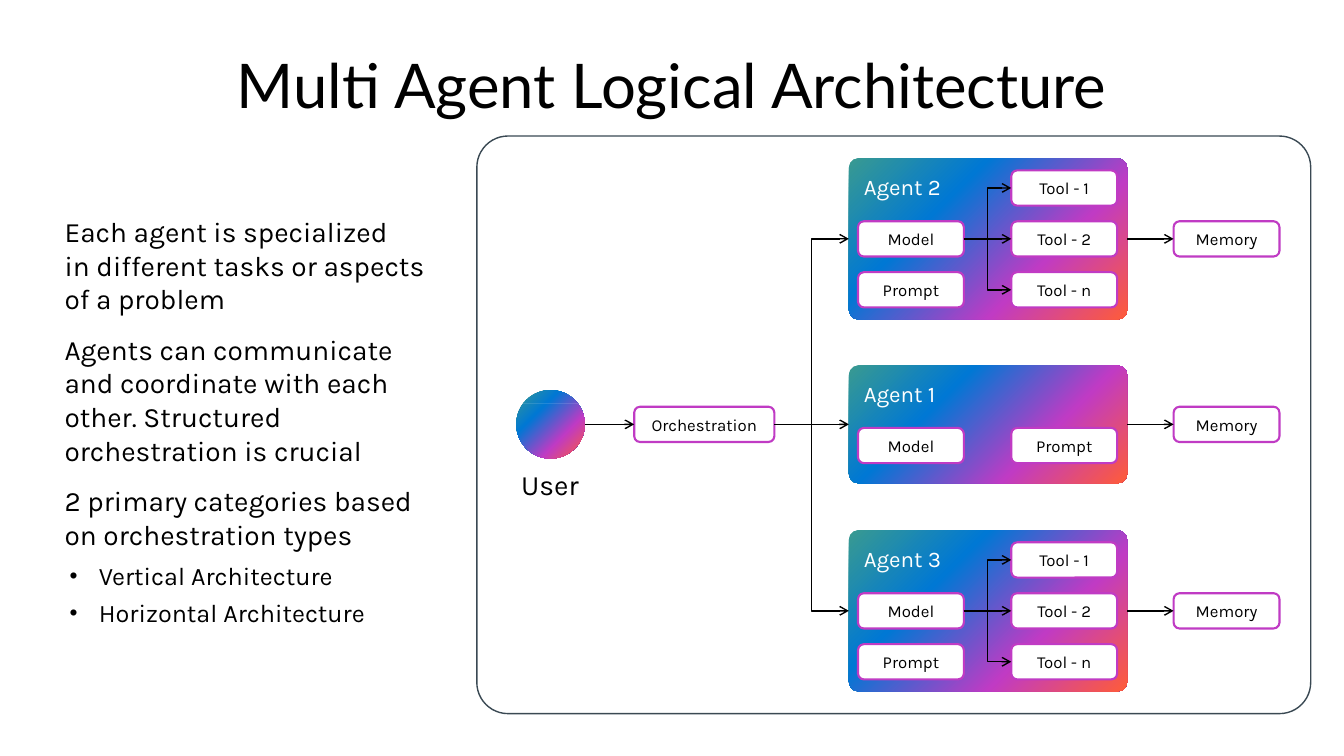
import math

import pptx
import pptx.dml.color
import pptx.enum.shapes
import pptx.enum.text
import pptx.oxml
import pptx.oxml.ns
import pptx.util

Inches, Pt = pptx.util.Inches, pptx.util.Pt
RGBColor = pptx.dml.color.RGBColor
SHAPE = pptx.enum.shapes.MSO_SHAPE
CONNECTOR = pptx.enum.shapes.MSO_CONNECTOR
ALIGN = pptx.enum.text.PP_ALIGN
ANCHOR = pptx.enum.text.MSO_ANCHOR
NS = pptx.oxml.ns.nsdecls("a")

BLACK = RGBColor(0x00, 0x00, 0x00)
WHITE = RGBColor(0xFF, 0xFF, 0xFF)
SLATE = RGBColor(0x3A, 0x49, 0x53)
PURPLE = RGBColor(0xC0, 0x3B, 0xC4)
ORANGE = RGBColor(0xFF, 0x5C, 0x39)
BLUE = RGBColor(0x00, 0x78, 0xD4)
GREEN = RGBColor(0x39, 0x9A, 0x91)
SHADOW = RGBColor(0x45, 0x41, 0x42)

prs = pptx.Presentation()
prs.slide_width, prs.slide_height = Inches(13.33), Inches(7.5)
slide = prs.slides.add_slide(prs.slide_layouts[6])
shapes = slide.shapes


def write(shape, paragraphs, size, color=BLACK, align=ALIGN.LEFT, font="Karla",
          inset=0, anchor=ANCHOR.TOP):
    """Fill a shape with paragraphs; a newline becomes a line break."""
    frame = shape.text_frame
    frame.word_wrap = True
    frame.vertical_anchor = anchor
    frame.margin_left = frame.margin_right = Inches(inset)
    frame.margin_top = frame.margin_bottom = Inches(inset)
    for i, text in enumerate(paragraphs):
        paragraph = frame.add_paragraph() if i else frame.paragraphs[0]
        paragraph.alignment = align
        if len(paragraphs) > 1:
            paragraph.space_before, paragraph.space_after = Pt(6 if i else 0), Pt(6)
        for j, line in enumerate(text.split("\n")):
            if j:
                paragraph.add_line_break()
            run = paragraph.add_run()
            run.text = line
            run.font.name, run.font.size = font, Pt(size)
            run.font.color.rgb = color
    return frame


def arrow(source, target, kind=CONNECTOR.STRAIGHT):
    """Lead an arrow from the right side of source to the left side of target."""
    line = shapes.add_connector(
        kind, source.left + source.width, source.top + source.height // 2,
        target.left, target.top + target.height // 2)
    if source.auto_shape_type != SHAPE.OVAL:
        line.begin_connect(source, 3)
    line.end_connect(target, 1)
    line.line.color.rgb, line.line.width = BLACK, Pt(1)
    line.line._get_or_add_ln().append(
        pptx.oxml.parse_xml(f'<a:tailEnd {NS} type="arrow"/>'))
    line._element.spPr.append(pptx.oxml.parse_xml(f"<a:effectLst {NS}/>"))


# Title
title = shapes.add_textbox(Inches(0.64), Inches(0.5), Inches(12.05), Inches(0.61))
title_frame = write(title, ["Multi Agent Logical Architecture"], 44,
                    align=ALIGN.CENTER, font="Lato", inset=0.05)
title_frame.paragraphs[0].line_spacing = 0.9

# Explanation on the left
explanation = shapes.add_textbox(Inches(0.64), Inches(2.13), Inches(3.61), Inches(3.37))
write(explanation, [
    "Each agent is specialized\nin different tasks or aspects of a problem",
    "Agents can communicate and coordinate with each other. "
    "Structured orchestration is crucial",
    "2 primary categories based on orchestration types",
], 20)

# Bulleted categories
for top, category in ((5.56, "Vertical Architecture"), (5.93, "Horizontal Architecture")):
    bullet = shapes.add_textbox(Inches(0.69), Inches(top), Inches(3.61), Inches(0.3))
    properties = write(bullet, [category], 18).paragraphs[0]._p.get_or_add_pPr()
    properties.set("marL", str(Inches(0.29)))
    properties.set("indent", str(-Inches(0.29)))
    properties.append(pptx.oxml.parse_xml(f'<a:buSzPct {NS} val="90000"/>'))
    properties.append(pptx.oxml.parse_xml(f'<a:buFont {NS} typeface="Arial"/>'))
    properties.append(pptx.oxml.parse_xml(f'<a:buChar {NS} char="•"/>'))

# Diagram frame
diagram = shapes.add_shape(SHAPE.ROUNDED_RECTANGLE, Inches(4.73), Inches(1.35),
                           Inches(8.27), Inches(5.73))
diagram.adjustments[0] = 0.054
diagram.shadow.inherit = False
diagram.fill.background()
diagram.line.color.rgb, diagram.line.width = SLATE, Pt(1)

# User disc and agent panels share one gradient
USER_ROW = 4.21
AGENTS = (("Agent 2", 2.37, 1.6), ("Agent 1", USER_ROW, 1.17), ("Agent 3", 6.06, 1.6))
user = shapes.add_shape(SHAPE.OVAL, Inches(5.12), Inches(USER_ROW - 0.34),
                        Inches(0.68), Inches(0.68))
panels = {}
for agent, row, height in AGENTS:
    panel = shapes.add_shape(SHAPE.ROUNDED_RECTANGLE, Inches(8.42),
                             Inches(row - height / 2), Inches(2.76), Inches(height))
    panel.adjustments[0] = 0.095 / height
    write(panel, [agent], 16, WHITE, inset=0.12)
    panels[agent] = panel

stops = "".join(
    f'<a:gs pos="{position}000"><a:srgbClr val="{color}"/></a:gs>'
    for position, color in ((0, ORANGE), (32, PURPLE), (68, BLUE), (100, GREEN)))
for colorful in (user, *panels.values()):
    colorful.shadow.inherit = False
    colorful.line.fill.background()
    colorful.fill.background()
    properties = colorful._element.spPr
    properties.replace(
        properties.find(pptx.oxml.ns.qn("a:noFill")),
        pptx.oxml.parse_xml(
            f'<a:gradFill {NS} rotWithShape="1"><a:gsLst>{stops}</a:gsLst>'
            '<a:path path="circle"><a:fillToRect l="100000" t="100000"/></a:path>'
            "</a:gradFill>"))

# Person icon: arcs as centre, radii, first and last angle
head = [(5.455, 4.14, 0.075, 0.07, 0, 360)]
body = [(5.455, 4.28, 0.115, 0.08, 0, 180),
        (5.375, 4.275, 0.035, 0.035, 180, 270),
        (5.535, 4.275, 0.035, 0.035, 270, 360)]
outlines = [
    [(x + rx * math.cos(math.radians(first + (last - first) * step / 24)),
      y + ry * math.sin(math.radians(first + (last - first) * step / 24)))
     for x, y, rx, ry, first, last in arcs for step in range(25)]
    for arcs in (head, body)]
pen = shapes.build_freeform(*outlines[0][0], scale=Inches(1))
pen.add_line_segments(outlines[0][1:])
pen.move_to(*outlines[1][0])
pen.add_line_segments(outlines[1][1:])
person = pen.convert_to_shape()
person.fill.solid()
person.fill.fore_color.rgb = WHITE
person.line.fill.background()
person._element.spPr.append(pptx.oxml.parse_xml(
    f'<a:effectLst {NS}><a:outerShdw blurRad="{Pt(5)}" dist="{Pt(5)}" dir="2700000">'
    f'<a:srgbClr val="{SHADOW}"><a:alpha val="20000"/></a:srgbClr>'
    "</a:outerShdw></a:effectLst>"))

user_label = shapes.add_textbox(Inches(4.85), Inches(4.64), Inches(1.21), Inches(0.34))
write(user_label, ["User"], 20, align=ALIGN.CENTER)

# White boxes: owner, text, left, centre row, width
LEFT, RIGHT, MEMORY, STEP = 8.51, 10.03, 11.64, 0.505
cells = [("User", "Orchestration", 6.29, USER_ROW, 1.39),
         ("Agent 1", "Model", LEFT, USER_ROW + 0.21, 1.05),
         ("Agent 1", "Prompt", RIGHT, USER_ROW + 0.21, 1.05)]
for agent, row, height in AGENTS:
    cells.append((agent, "Memory", MEMORY, row, 1.05))
    if agent != "Agent 1":
        cells += [(agent, "Model", LEFT, row, 1.05),
                  (agent, "Prompt", LEFT, row + STEP, 1.05)]
        cells += [(agent, f"Tool - {mark}", RIGHT, row + i * STEP, 1.05)
                  for i, mark in zip((-1, 0, 1), "12n")]

boxes = {}
for owner, text, left, row, width in cells:
    box = shapes.add_shape(SHAPE.ROUNDED_RECTANGLE, Inches(left), Inches(row - 0.175),
                           Inches(width), Inches(0.35))
    box.shadow.inherit = False
    box.fill.solid()
    box.fill.fore_color.rgb = WHITE
    box.line.color.rgb, box.line.width = PURPLE, Pt(1.5)
    write(box, [text], 12, align=ALIGN.CENTER, anchor=ANCHOR.MIDDLE)
    boxes[owner, text] = box

# Arrows
orchestration = boxes["User", "Orchestration"]
arrow(user, orchestration)
for agent, panel in panels.items():
    straight = agent == "Agent 1"
    arrow(orchestration, panel, CONNECTOR.STRAIGHT if straight else CONNECTOR.ELBOW)
    arrow(panel, boxes[agent, "Memory"])
    if not straight:
        for mark in "12n":
            arrow(boxes[agent, "Model"], boxes[agent, f"Tool - {mark}"],
                  CONNECTOR.STRAIGHT if mark == "2" else CONNECTOR.ELBOW)

prs.save("out.pptx")
